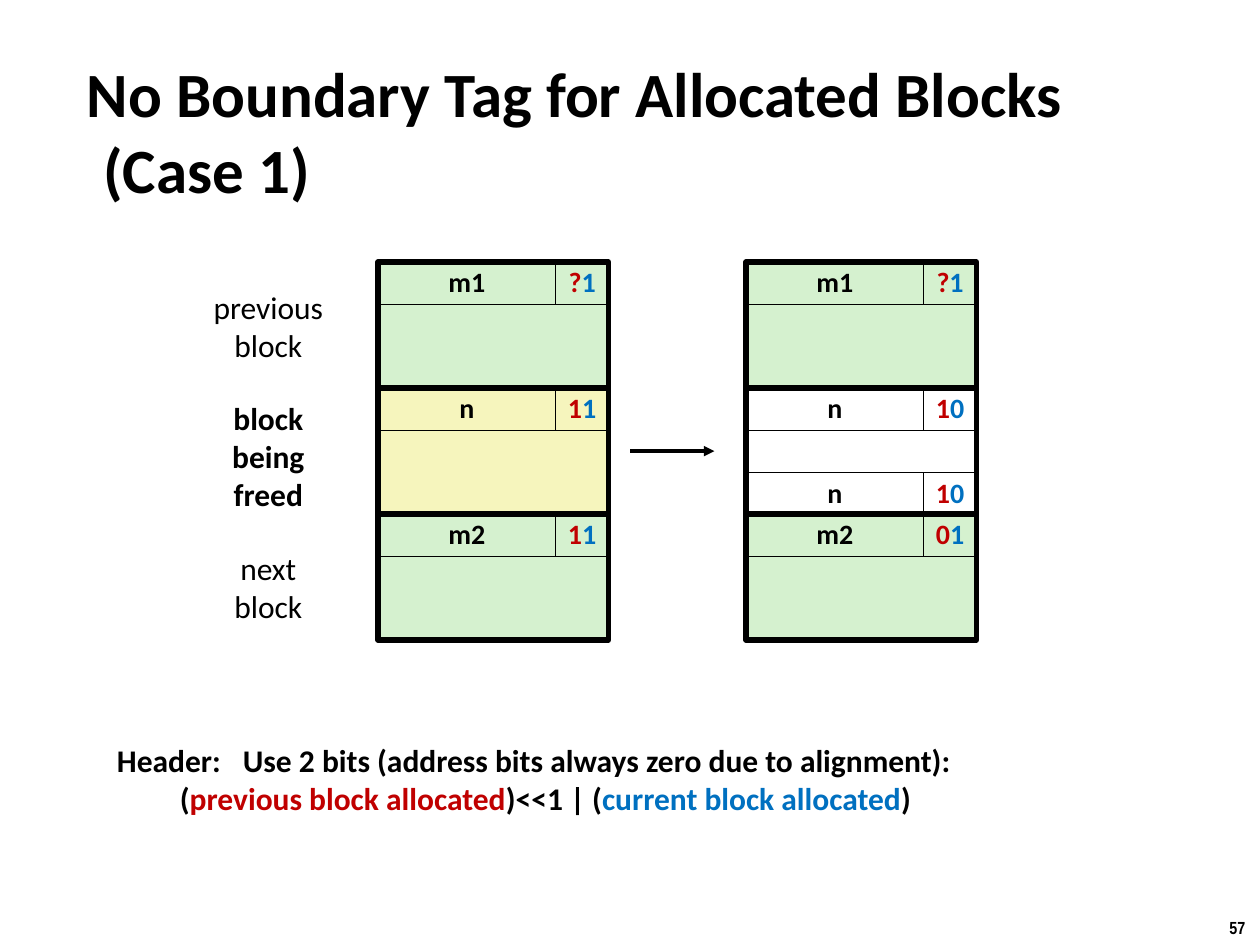
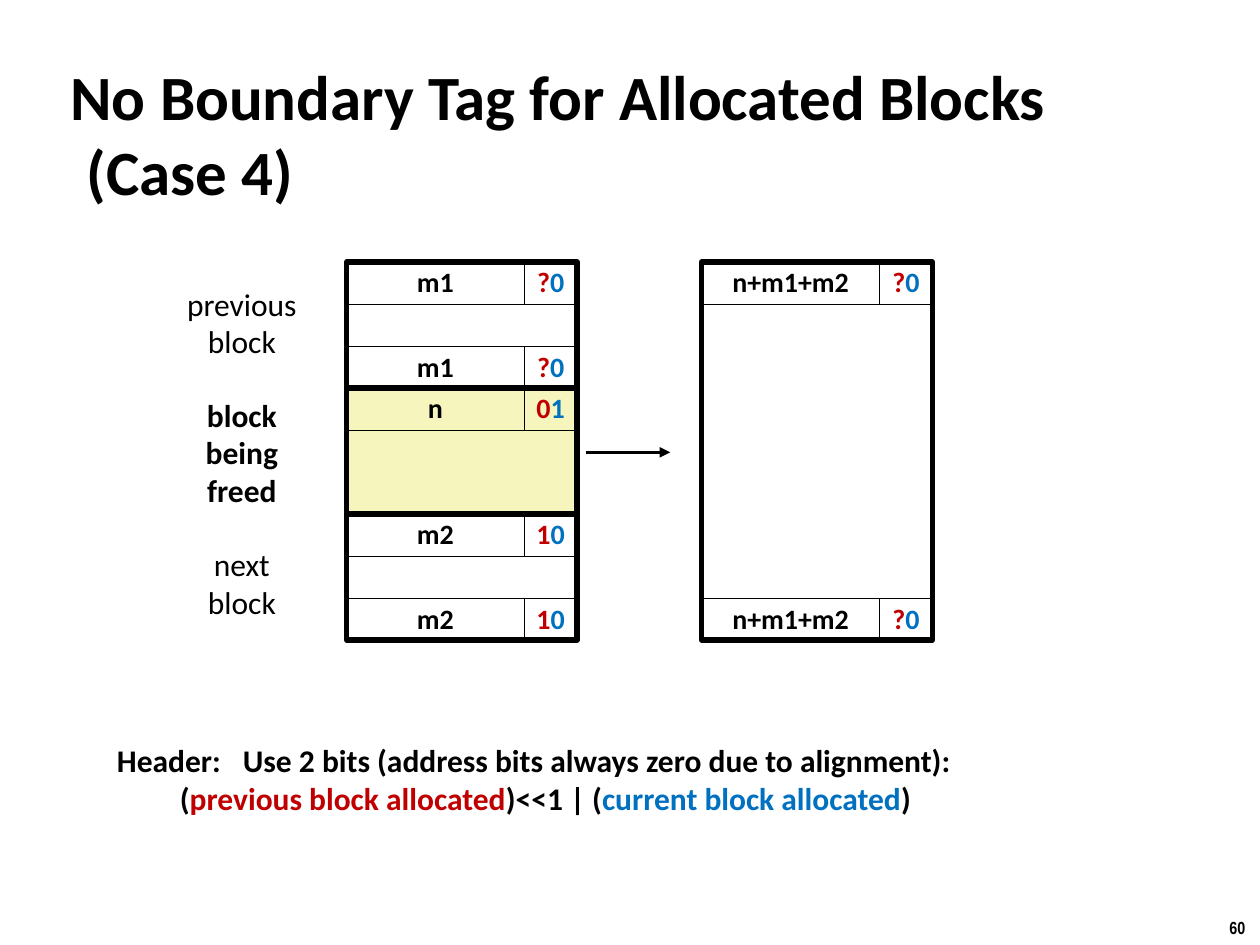
from pptx import Presentation
from pptx.dml.color import RGBColor
from pptx.enum.dml import MSO_LINE
from pptx.enum.shapes import MSO_CONNECTOR, MSO_SHAPE
from pptx.enum.text import MSO_ANCHOR, MSO_AUTO_SIZE, PP_ALIGN
from pptx.oxml.ns import qn
from pptx.util import Inches, Pt
from lxml.etree import SubElement

BLACK, RED, BLUE = "000000", "C00000", "0070C0"
GREEN, YELLOW, WHITE = "D5F1CF", "F6F5BD", "FFFFFF"
TITLE = {"name": "Calibri", "size": Pt(36), "bold": True}
NOTE = {"name": "Calibri", "size": Pt(18), "bold": True}
LABEL = {"name": "Calibri", "size": Pt(18), "bold": False}
CELL = {"name": "Calibri", "size": Pt(16), "bold": True}
NUMBER = {"name": "Arial Narrow", "size": Pt(10), "bold": True}

ROW = 1 / 3
BLOCK_W, BLOCK_H = 1.83, 1
BITS_W = 0.42
HEAP_TOP = 2.08
HEADER_NOTE = [
    ("Header: \tUse 2 bits (address bits always zero due to alignment):\n\t(", BLACK),
    ("previous block allocated", RED),
    (")<<1 | (", BLACK),
    ("current block allocated", BLUE),
    (")", BLACK),
]
LABELS = [
    ("previous\nblock", 0, 0.71, LABEL),
    ("block\nbeing\nfreed", 0.88, 1.01, NOTE),
    ("next\nblock", 2.07, 0.71, LABEL),
]
SLIDES = [
    {
        "title": "No Boundary Tag for Allocated Blocks\n(Case 1)",
        "title_box": (0.59, 0.72, 9.33, 0.63),
        "number": "57",
        "labels": (2.13, 2.24),
        "arrow": (5, 3.58),
        "before": (3, [("m1", "?1", GREEN, 1), ("n", "11", YELLOW, 1), ("m2", "11", GREEN, 1)]),
        "after": (5.92, [("m1", "?1", GREEN, 1), ("n", "10", WHITE, 1), ("m2", "01", GREEN, 1)]),
    },
    {
        "title": "No Boundary Tag for Allocated Blocks (Case 4)",
        "title_box": (0.46, 0.74, 9.08, 0.63),
        "number": "60",
        "labels": (1.92, 2.21),
        "arrow": (4.65, 3.59),
        "before": (2.75, [("m1", "?0", WHITE, 1), ("n", "01", YELLOW, 1), ("m2", "10", WHITE, 1)]),
        "after": (5.57, [("n+m1+m2", "?0", WHITE, 3)]),
    },
]


def rgb(color):
    """Turn a hex string into a colour."""
    return RGBColor.from_string(color)


def write(p, runs, fmt):
    """Add coloured runs to a paragraph, breaking lines at newlines."""
    for text, color in runs:
        for i, line in enumerate(text.split("\n")):
            if i:
                p.add_line_break()
            r = p.add_run()
            r.text = line
            for key, value in fmt.items():
                setattr(r.font, key, value)
            r.font.color.rgb = rgb(color)


def add_text(s, box, runs, fmt, align=PP_ALIGN.LEFT):
    """Add an unwrapped text box."""
    tf = s.shapes.add_textbox(*map(Inches, box)).text_frame
    tf.word_wrap = False
    tf.auto_size = MSO_AUTO_SIZE.SHAPE_TO_FIT_TEXT
    tf.paragraphs[0].alignment = align
    write(tf.paragraphs[0], runs, fmt)


def add_rect(s, box, fill=None, weight=0.25, runs=()):
    """Add a black-edged rectangle with optional fill and centred text."""
    sp = s.shapes.add_shape(MSO_SHAPE.RECTANGLE, *map(Inches, box))
    sp.shadow.inherit = False
    if fill:
        sp.fill.solid()
        sp.fill.fore_color.rgb = rgb(fill)
    else:
        sp.fill.background()
    sp.line.color.rgb = rgb(BLACK)
    sp.line.width = Pt(weight)
    if runs:
        tf = sp.text_frame
        tf.word_wrap = False
        tf.vertical_anchor = MSO_ANCHOR.MIDDLE
        p = tf.paragraphs[0]
        p.alignment = PP_ALIGN.CENTER
        p.line_spacing = 0.98
        write(p, runs, CELL)


def add_tag(s, x, y, size, bits, fill):
    """Add a boundary tag: the size cell and the two allocation bits."""
    size_w = BLOCK_W - BITS_W
    add_rect(s, (x, y, size_w, ROW), fill, runs=[(size, BLACK)])
    add_rect(s, (x + size_w, y, BITS_W, ROW), fill, runs=list(zip(bits, (RED, BLUE))))


def add_block(s, x, y, size, bits, fill, height):
    """Add a heap block; a free one, whose last bit is 0, also has a footer."""
    add_rect(s, (x, y + ROW, BLOCK_W, height - ROW), fill)
    add_tag(s, x, y, size, bits, fill)
    if bits.endswith("0"):
        add_tag(s, x, y + height - ROW, size, bits, fill)
    add_rect(s, (x, y, BLOCK_W, height), weight=3)


def add_heap(s, x, blocks):
    """Stack heap blocks downwards from the heap top."""
    y = HEAP_TOP
    for size, bits, fill, units in blocks:
        add_block(s, x, y, size, bits, fill, units * BLOCK_H)
        y += units * BLOCK_H


def add_labels(s, center, top):
    """Name the three blocks in a centred column."""
    width = 1.1
    for text, dy, height, fmt in LABELS:
        box = (center - width / 2, top + dy, width, height)
        add_text(s, box, [(text, BLACK)], fmt, PP_ALIGN.CENTER)


def add_arrow(s, x, y, length=0.67):
    """Add a horizontal arrow pointing right."""
    ends = map(Inches, (x, y, x + length, y))
    line = s.shapes.add_connector(MSO_CONNECTOR.STRAIGHT, *ends)
    line.line.color.rgb = rgb(BLACK)
    line.line.width = Pt(2)
    line.line.dash_style = MSO_LINE.SOLID
    SubElement(line.line._get_or_add_ln(), qn("a:tailEnd"), type="triangle")
    SubElement(line._element.spPr, qn("a:effectLst"))


def set_title(s, text, box):
    """Place and format the title with a hanging indent."""
    title = s.shapes.title
    for name, value in zip(("left", "top", "width", "height"), box):
        setattr(title, name, Inches(value))
    tf = title.text_frame
    tf.auto_size = MSO_AUTO_SIZE.NONE
    tf.vertical_anchor = MSO_ANCHOR.MIDDLE
    p = tf.paragraphs[0]
    p.alignment = PP_ALIGN.LEFT
    pPr = p._p.get_or_add_pPr()
    pPr.set("marL", str(Inches(0.13)))
    pPr.set("indent", str(Inches(-0.13)))
    write(p, [(text, BLACK)], TITLE)


def add_case(prs, case):
    """Build one slide showing the heap before and after a free."""
    s = prs.slides.add_slide(prs.slide_layouts[5])
    set_title(s, case["title"], case["title_box"])
    add_labels(s, *case["labels"])
    add_heap(s, *case["before"])
    add_arrow(s, *case["arrow"])
    add_heap(s, *case["after"])
    add_text(s, (0.83, 5.83, 7.06, 0.71), HEADER_NOTE, NOTE)
    add_text(s, (9.66, 7.23, 0.34, 0.27), [(case["number"], BLACK)], NUMBER)


def main():
    """Build and save the presentation."""
    prs = Presentation()
    prs.slide_width, prs.slide_height = Inches(10), Inches(7.5)
    for case in SLIDES:
        add_case(prs, case)
    prs.save("out.pptx")


if __name__ == "__main__":
    main()
